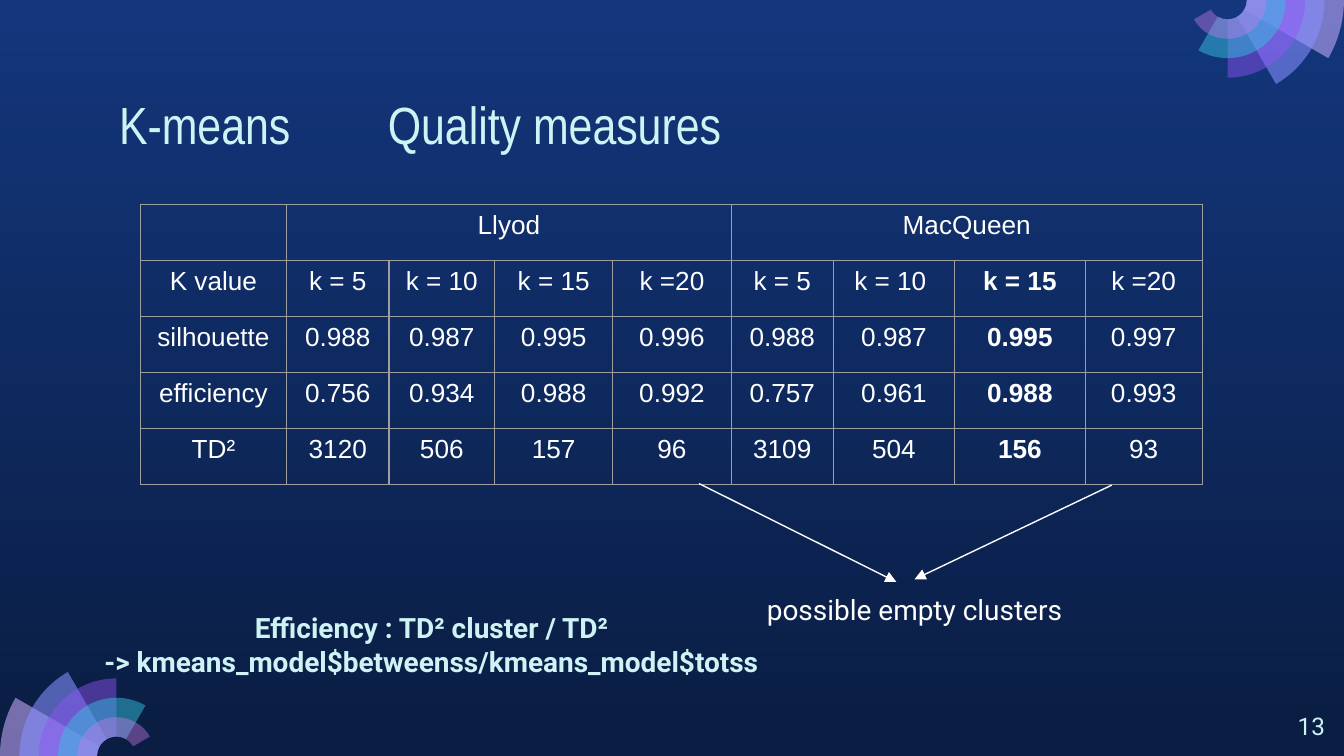
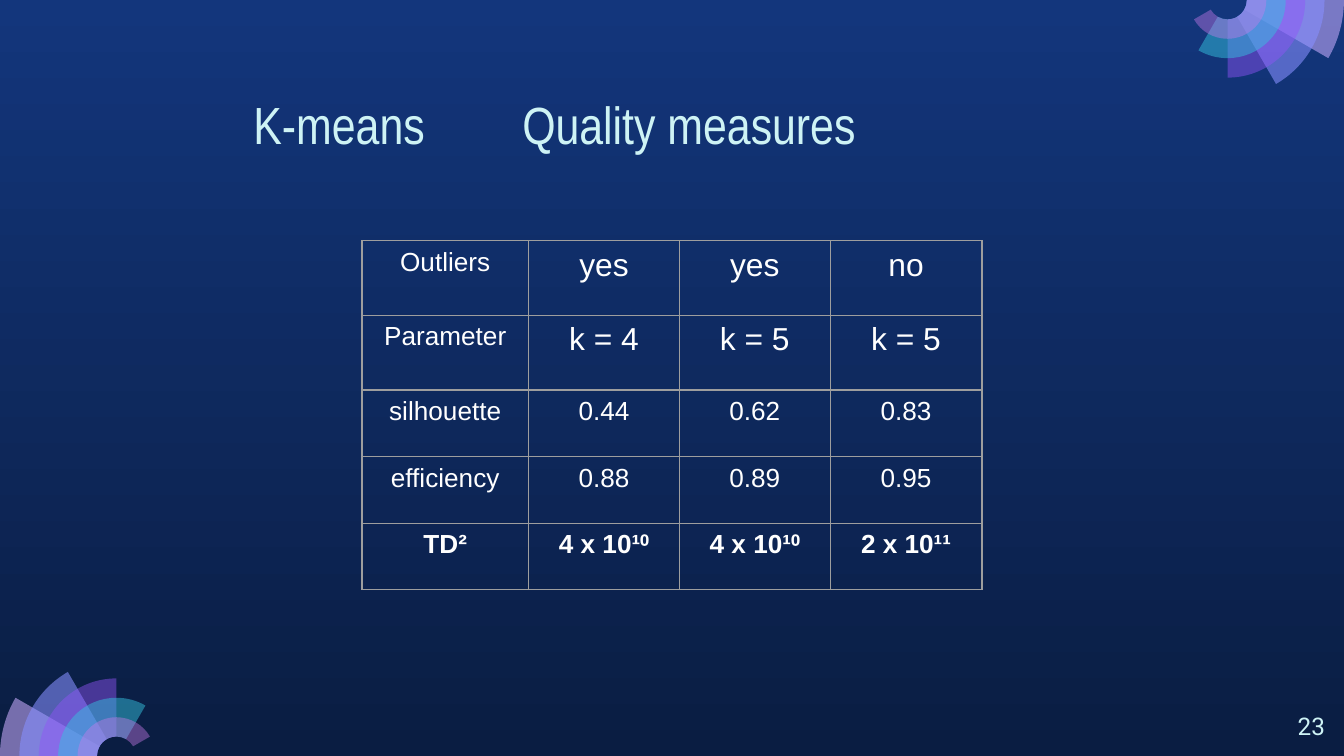
"""Build two slides that report K-means quality measures."""
import itertools
import math

import lxml.etree
import pptx
import pptx.dml.color
import pptx.enum.shapes
import pptx.enum.text
import pptx.oxml.ns
import pptx.util

Cm = pptx.util.Cm
RGBColor = pptx.dml.color.RGBColor
Align = pptx.enum.text.PP_ALIGN

SLIDE_WIDTH, SLIDE_HEIGHT = 25.4, 14.29
NAVY_TOP = RGBColor(0x13, 0x36, 0x7C)
NAVY_BOTTOM = RGBColor(0x0A, 0x1D, 0x42)
ICE = RGBColor(0xCE, 0xF3, 0xF5)
WHITE = RGBColor(0xFF, 0xFF, 0xFF)
GRID_GREY = RGBColor(0x9E, 0x9E, 0x9E)
PETALS = [
    (RGBColor(0xC8, 0xAC, 0xFD), 57),
    (RGBColor(0x87, 0x8F, 0xFF), 58),
    (RGBColor(0x91, 0x54, 0xF8), 46),
    (RGBColor(0x35, 0xC2, 0xDF), 49),
    (RGBColor(0xCA, 0x7B, 0xEB), 42),
]
FAN_RADIUS = 2.2
RING_WIDTH = FAN_RADIUS / 6

K_COLUMNS = ["k = 5", "k = 10 ", "k = 15", "k =20"]
METHOD_ROWS = [
    ["", "Llyod", "", "", "", "MacQueen", "", "", ""],
    ["K value"] + K_COLUMNS * 2,
    ["silhouette", "0.988", "0.987", "0.995", "0.996", "0.988", "0.987", "0.995", "0.997"],
    ["efficiency", "0.756", "0.934", "0.988", "0.992", "0.757", "0.961", "0.988", "0.993"],
    ["TD²", "3120", "506", "157", "96", "3109", "504", "156", "93"],
]
OUTLIER_ROWS = [
    ["Outliers", "yes", "yes", "no"],
    ["Parameter", "k = 4", "k = 5", "k = 5"],
    ["silhouette", "0.44", "0.62", "0.83"],
    ["efficiency", "0.88", "0.89", "0.95"],
    ["TD²", "4 x 10¹⁰", "4 x 10¹⁰", "2 x 10¹¹"],
]


def add_xml(parent, tag, **attributes):
    """Append a DrawingML element and return it."""
    return lxml.etree.SubElement(parent, pptx.oxml.ns.qn(tag), attributes)


def write_text(text_frame, text, font="Arial", size=14, color=WHITE, bold=False, align=Align.CENTER):
    """Fill a text frame, one paragraph a line, in a single format."""
    for index, line in enumerate(text.split("\n")):
        paragraph = text_frame.add_paragraph() if index else text_frame.paragraphs[0]
        paragraph.alignment = align
        run = paragraph.add_run()
        run.text = line
        run.font.name, run.font.size, run.font.bold = font, pptx.util.Pt(size), bold
        run.font.color.rgb = color


def arc_points(point, radius, angles):
    """Return the control and end points of Bezier arcs between the angles."""
    points = []
    for first, last in itertools.pairwise(angles):
        pull = 4 / 3 * math.tan(math.radians(last - first) / 4)
        reach, lean = radius * math.hypot(1, pull), math.degrees(math.atan(pull))
        points += [point(reach, first + lean), point(reach, last - lean), point(radius, last)]
    return points


def bend_lines(lines):
    """Turn each three line segments into one Bezier curve."""
    for start in range(0, len(lines), 3):
        curve = lxml.etree.Element(pptx.oxml.ns.qn("a:cubicBezTo"))
        lines[start].addprevious(curve)
        for line in lines[start:start + 3]:
            curve.append(line[0])
            line.getparent().remove(line)


class Deck:
    """Hold the shared style and the current slide."""

    def __init__(self):
        """Set the slide size and the background of the master."""
        self.presentation = pptx.Presentation()
        self.presentation.slide_width = Cm(SLIDE_WIDTH)
        self.presentation.slide_height = Cm(SLIDE_HEIGHT)
        self.master = self.presentation.slide_master
        self.slide = None
        fill = self.master.background.fill
        fill.gradient()
        fill.gradient_angle = 270
        for stop, color, position in zip(fill.gradient_stops, (NAVY_TOP, NAVY_BOTTOM), (0, 1)):
            stop.color.rgb, stop.position = color, position

    def new_slide(self, title, number):
        """Start a slide with its title and page number."""
        first = self.slide is None
        self.slide = self.presentation.slides.add_slide(self.presentation.slide_layouts[5])
        if first:
            self.fan(FAN_RADIUS, SLIDE_HEIGHT, 180)
            self.fan(SLIDE_WIDTH - FAN_RADIUS, 0, 0)
        shape = self.slide.shapes.title
        shape.left, shape.top, shape.width, shape.height = Cm(2), Cm(1.5), Cm(21.39), Cm(1.6)
        self.frame(shape)
        write_text(shape.text_frame, title, font="Arial Narrow", size=28, color=ICE, align=Align.LEFT)
        properties = shape.text_frame.paragraphs[0]._p.get_or_add_pPr()
        properties.set("defTabSz", str(Cm(2.54)))
        self.text(23.77, 13.19, 1.52, 1.09, number, size=13, color=ICE, align=Align.RIGHT)

    def frame(self, shape):
        """Give a text shape the common margins, wrap and anchor."""
        text_frame = shape.text_frame
        text_frame.word_wrap = True
        text_frame.auto_size = pptx.enum.text.MSO_AUTO_SIZE.NONE
        text_frame.vertical_anchor = pptx.enum.text.MSO_ANCHOR.TOP
        text_frame.margin_left = text_frame.margin_right = Cm(0.25)
        text_frame.margin_top = text_frame.margin_bottom = Cm(0.25)

    def fan(self, center_x, center_y, start):
        """Draw a fan of ring sectors on the master."""
        def point(radius, angle):
            """Return a point on a circle around the fan's center."""
            turn = math.radians(start + angle)
            return Cm(center_x + radius * math.cos(turn)), Cm(center_y + radius * math.sin(turn))

        for index, (color, opacity) in enumerate(PETALS):
            sweep = 30 * (index + 1)
            angles = [*range(0, sweep, 90), sweep]
            radius = RING_WIDTH * (6 - index)
            outer = arc_points(point, radius, angles)
            inner = arc_points(point, RING_WIDTH, angles[::-1])
            builder = self.slide.shapes.build_freeform(*point(radius, 0))
            builder.add_line_segments(outer + [point(RING_WIDTH, sweep)] + inner, close=True)
            shape = builder.convert_to_shape()
            lines = list(shape.element.iter(pptx.oxml.ns.qn("a:lnTo")))
            bend_lines(lines[:len(outer)])
            bend_lines(lines[len(outer) + 1:len(outer) + 1 + len(inner)])
            shape.name = f"Fan petal {index + 1}"
            shape.shadow.inherit = False
            shape.line.fill.background()
            shape.fill.solid()
            shape.fill.fore_color.rgb = color
            color_element = shape.element.spPr.find(".//" + pptx.oxml.ns.qn("a:srgbClr"))
            add_xml(color_element, "a:alpha", val=str(opacity * 1000))
            self.master.shapes.element.append(shape.element)

    def text(self, left, top, width, height, text, **style):
        """Add a text box and return it."""
        shape = self.slide.shapes.add_textbox(Cm(left), Cm(top), Cm(width), Cm(height))
        self.frame(shape)
        write_text(shape.text_frame, text, **{"font": "Roboto", "size": 15, **style})
        return shape

    def table(self, left, top, widths, heights, rows, cell_style, spans=()):
        """Add a grid-lined table whose cell format comes from cell_style."""
        table = self.slide.shapes.add_table(
            len(rows), len(widths), Cm(left), Cm(top), Cm(sum(widths)), Cm(sum(heights))).table
        table.first_row = table.horz_banding = False
        for column, width in zip(table.columns, widths):
            column.width = Cm(width)
        for row, height in zip(table.rows, heights):
            row.height = Cm(height)
        for row_index, row in enumerate(rows):
            for column_index, text in enumerate(row):
                cell = table.cell(row_index, column_index)
                if text:
                    write_text(cell.text_frame, text, **cell_style(row_index, column_index))
                self.borders(cell)
                cell.fill.background()
        for row_index, first, last in spans:
            table.cell(row_index, first).merge(table.cell(row_index, last))

    def borders(self, cell):
        """Draw a thin line on each side of a cell."""
        properties = cell._tc.get_or_add_tcPr()
        for side in ("a:lnL", "a:lnR", "a:lnT", "a:lnB"):
            line = add_xml(properties, side, w=str(pptx.util.Pt(0.75)))
            add_xml(add_xml(line, "a:solidFill"), "a:srgbClr", val=str(GRID_GREY))

    def arrow(self, start_x, start_y, end_x, end_y, target=None):
        """Add an arrow, joined to the top of the target if there is one."""
        connector = self.slide.shapes.add_connector(
            pptx.enum.shapes.MSO_CONNECTOR.STRAIGHT, Cm(start_x), Cm(start_y), Cm(end_x), Cm(end_y))
        connector.line.color.rgb = WHITE
        connector.line.width = pptx.util.Pt(0.75)
        add_xml(connector.line._get_or_add_ln(), "a:tailEnd", type="triangle")
        add_xml(connector.element.spPr, "a:effectLst")
        if target is not None:
            connector.end_connect(target, 0)


def method_style(row, column):
    """Embolden the chosen k of the second method."""
    return {"bold": row > 0 and column == 7}


def outlier_style(row, column):
    """Enlarge the parameter values and embolden the last row."""
    return {"size": 17 if row < 2 and column else 14, "bold": row == 4}


def main():
    """Build both slides and save them."""
    deck = Deck()
    deck.new_slide("K-means \tQuality measures", "13")
    deck.table(2.65, 3.86, [2.77, 1.93, 2, 2.23, 2.24, 1.93, 2.29, 2.47, 2.21], [1.06] * 5,
               METHOD_ROWS, method_style, spans=[(0, 1, 4), (0, 5, 8)])
    deck.text(1.53, 11.29, 13.39, 2.01,
              "Efficiency : TD² cluster / TD² \n-> kmeans_model$betweenss/kmeans_model$totss ",
              color=ICE, bold=True)
    note = deck.text(12.09, 10.95, 10.39, 1.47, "possible empty clusters")
    deck.arrow(13.21, 9.14, 16.94, 11)
    deck.arrow(21.01, 9.17, 17.22, 10.95, target=note)

    deck.new_slide("\tK-means\tQuality measures", "23")
    deck.table(6.84, 4.55, [3.15, 2.85, 2.85, 2.87], [1.41, 1.41, 1.26, 1.26, 1.26],
               OUTLIER_ROWS, outlier_style)
    deck.presentation.save("out.pptx")


if __name__ == "__main__":
    main()
